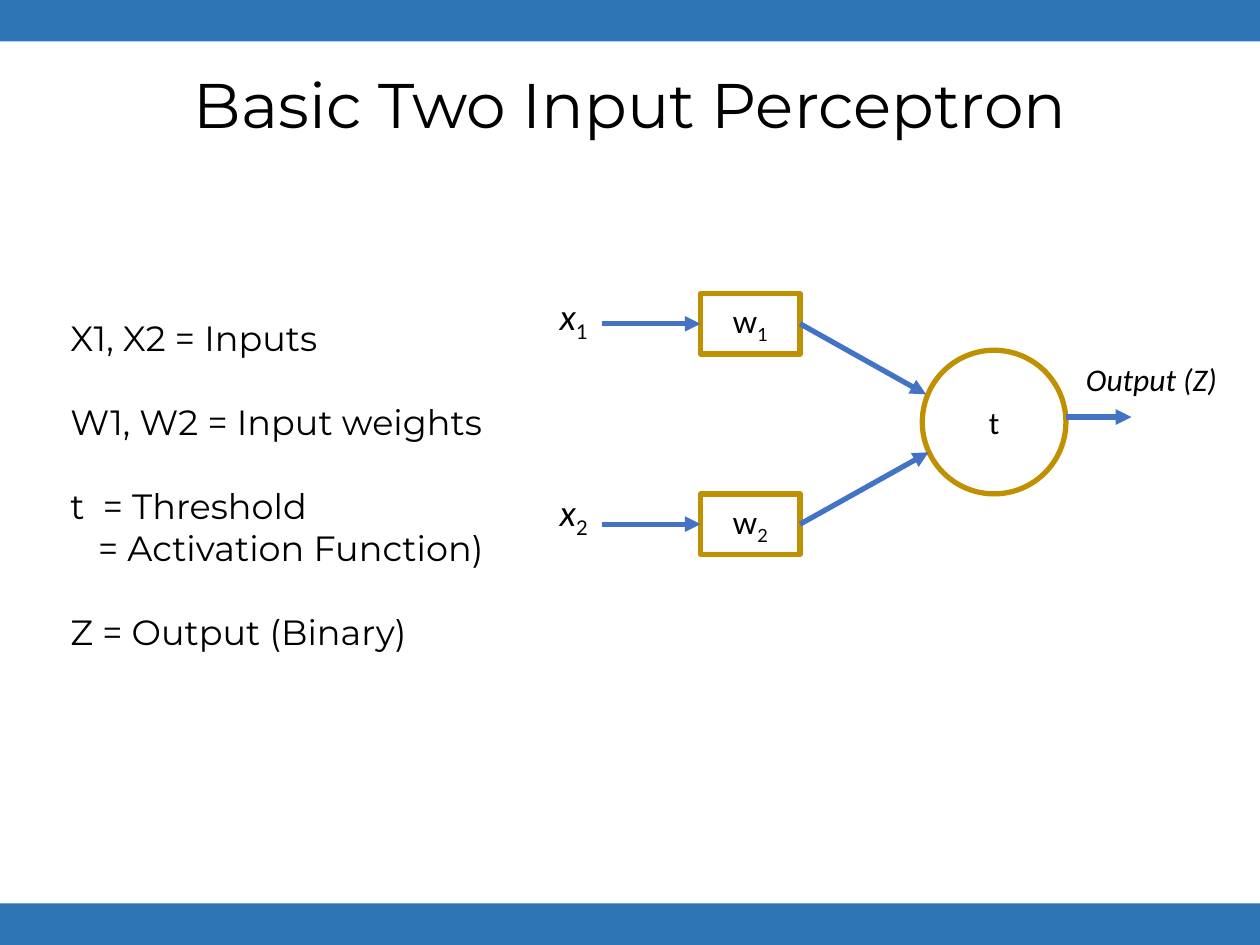
"""Build the slide that explains a basic two input perceptron."""
from dataclasses import dataclass

from lxml.etree import SubElement
from pptx import Presentation
from pptx.dml.color import RGBColor
from pptx.enum.shapes import MSO_CONNECTOR, MSO_SHAPE
from pptx.enum.text import MSO_ANCHOR, PP_ALIGN
from pptx.oxml.ns import qn
from pptx.util import Inches, Pt


@dataclass(frozen=True)
class Theme:
    """Colours, fonts and sizes shared by the slide."""
    band: RGBColor = RGBColor(0x2E, 0x75, 0xB6)
    node_line: RGBColor = RGBColor(0xBF, 0x90, 0x00)
    arrow: RGBColor = RGBColor(0x44, 0x72, 0xC4)
    paper: RGBColor = RGBColor(0xFF, 0xFF, 0xFF)
    ink: RGBColor = RGBColor(0, 0, 0)
    heading_font: str = "Montserrat"
    symbol_font: str = "Lato"
    plain_font: str = "Calibri"
    title_size: Pt = Pt(36)
    text_size: Pt = Pt(20)
    node_size: Pt = Pt(18)
    stroke: Pt = Pt(3)


THEME = Theme()


def apply(target, values):
    """Set each attribute in values on target."""
    for name, value in values.items():
        setattr(target, name, value)


def write(paragraph, text, font, size, italic=False, subscript=""):
    """Add text to a paragraph, with an optional upright subscript."""
    for part, slanted, baseline in ((text, italic, None), (subscript, False, "-25000")):
        if part:
            run = paragraph.add_run()
            run.text = part
            apply(run.font, {"name": font, "size": size, "italic": slanted})
            run.font.color.rgb = THEME.ink
            if baseline:
                run.font._element.set("baseline", baseline)


def add_label(slide, box, text, font, size, align=PP_ALIGN.LEFT, **style):
    """Place a one-line label in the box."""
    frame = slide.shapes.add_textbox(*map(Inches, box)).text_frame
    frame.word_wrap = False
    frame.paragraphs[0].alignment = align
    write(frame.paragraphs[0], text, font, size, **style)


def add_band(slide, box):
    """Fill the box with a plain coloured band."""
    band = slide.shapes.add_shape(MSO_SHAPE.RECTANGLE, *map(Inches, box))
    band.shadow.inherit = False
    band.fill.solid()
    band.fill.fore_color.rgb = THEME.band
    band.line.fill.background()


def add_title(slide, box, text):
    """Centre the slide title in the box."""
    frame = slide.shapes.add_textbox(*map(Inches, box)).text_frame
    apply(frame, {"word_wrap": True, "vertical_anchor": MSO_ANCHOR.MIDDLE})
    heading = frame.paragraphs[0]
    apply(heading, {"alignment": PP_ALIGN.CENTER, "line_spacing": 0.9})
    write(heading, text, THEME.heading_font, THEME.title_size)


def add_legend(slide, box, groups):
    """List the symbol meanings, with a gap between groups."""
    frame = slide.shapes.add_textbox(*map(Inches, box)).text_frame
    frame.word_wrap = True
    entry = frame.paragraphs[0]
    for group_index, group in enumerate(groups):
        for line_index, meaning in enumerate(group):
            if group_index or line_index:
                entry = frame.add_paragraph()
            if line_index:
                entry._p.get_or_add_pPr().set("marL", str(Inches(0.22)))
            elif group_index:
                entry.space_before = Pt(24)
            write(entry, meaning, THEME.heading_font, THEME.text_size)


def add_node(slide, kind, box, text, font, subscript=""):
    """Draw an outlined node with centred text and return it."""
    node = slide.shapes.add_shape(kind, *map(Inches, box))
    node.shadow.inherit = False
    node.fill.solid()
    node.fill.fore_color.rgb = THEME.paper
    node.line.color.rgb = THEME.node_line
    node.line.width = THEME.stroke
    frame = node.text_frame
    apply(frame, {"word_wrap": False, "vertical_anchor": MSO_ANCHOR.MIDDLE})
    frame.paragraphs[0].alignment = PP_ALIGN.CENTER
    write(frame.paragraphs[0], text, font, THEME.node_size, subscript=subscript)
    return node


def add_arrow(slide, start, end):
    """Draw an arrow between two points and return it."""
    arrow = slide.shapes.add_connector(MSO_CONNECTOR.STRAIGHT, *map(Inches, start + end))
    arrow.line.color.rgb = THEME.arrow
    arrow.line.width = THEME.stroke
    SubElement(arrow.line._get_or_add_ln(), qn("a:tailEnd"), type="triangle")
    SubElement(arrow._element.spPr, qn("a:effectLst"))
    return arrow


def add_input(slide, box, index, label_top, target):
    """Draw one input row in the box and lead its weight to the target point."""
    left, top, width, height = box
    weight_width, label_width = 0.79, 0.45
    right, middle = left + width, top + height / 2
    weight_left = right - weight_width
    add_label(slide, (left, label_top, label_width, 0.44), "x", THEME.symbol_font,
              THEME.text_size, PP_ALIGN.CENTER, italic=True, subscript=index)
    weight = add_node(slide, MSO_SHAPE.RECTANGLE, (weight_left, top, weight_width, height),
                      "w", THEME.symbol_font, index)
    signal = add_arrow(slide, (left + label_width, middle), (weight_left, middle))
    signal.end_connect(weight, 1)
    weighted = add_arrow(slide, (right, middle), target)
    weighted.begin_connect(weight, 3)


def add_perceptron(slide, box):
    """Draw the inputs, weights, threshold and output in the box."""
    left, top, width, _ = box
    threshold_left, threshold_top, diameter = left + 2.99, top + 0.48, 1.14
    add_node(slide, MSO_SHAPE.OVAL, (threshold_left, threshold_top, diameter, diameter),
             "t", THEME.plain_font)
    rows = (("1", 0.03, 0, (3.02, 0.83)), ("2", 1.62, 1.55, (3.04, 1.29)))
    for index, weight_drop, label_drop, (reach, drop) in rows:
        add_input(slide, (left, top + weight_drop, 2.02, 0.48), index,
                  top + label_drop, (left + reach, top + drop))
    output_left, output_y = threshold_left + diameter, top + 1.01
    add_arrow(slide, (output_left, output_y), (output_left + 0.52, output_y))
    add_label(slide, (left + width - 1.25, top + 0.51, 1.25, 0.4), "Output (Z)",
              THEME.plain_font, THEME.node_size, italic=True)


def main():
    """Build and save the presentation."""
    deck = Presentation()
    apply(deck, {"slide_width": Inches(10), "slide_height": Inches(7.5)})
    slide = deck.slides.add_slide(deck.slide_layouts[6])
    for band_top in (0, 7.17):
        add_band(slide, (0, band_top, 10, 0.33))
    add_title(slide, (0.69, 0.4, 8.62, 0.91), "Basic Two Input Perceptron")
    add_perceptron(slide, (4.33, 2.3, 5.44, 2.1))
    add_legend(slide, (0.46, 2.46, 3.63, 2.79), (
        ("X1, X2 = Inputs",),
        ("W1, W2 = Input weights",),
        ("t  = Threshold", "= Activation Function)"),
        ("Z = Output (Binary)",),
    ))
    deck.save("out.pptx")


if __name__ == "__main__":
    main()
